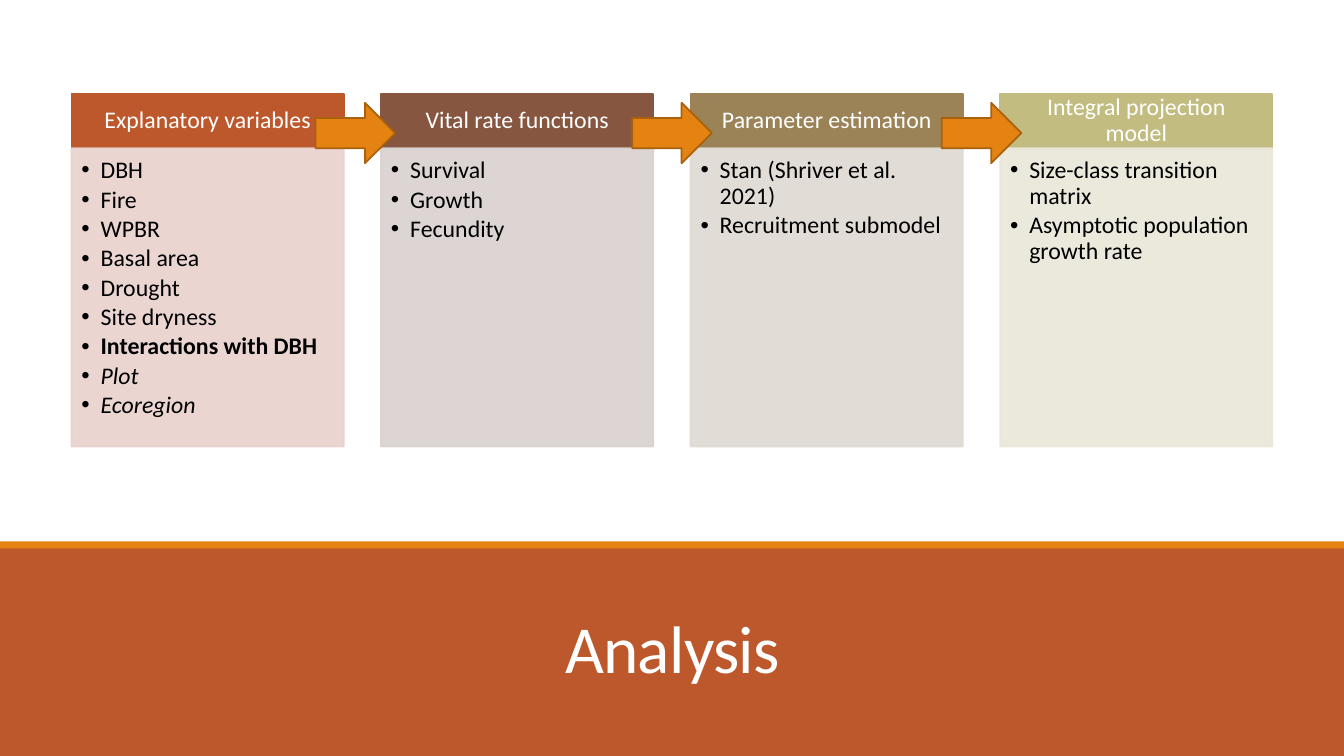
from dataclasses import dataclass
from lxml.etree import SubElement
from pptx import Presentation
from pptx.dml.color import RGBColor
from pptx.enum.shapes import MSO_SHAPE as Shape
from pptx.enum.text import MSO_ANCHOR as Anchor, PP_ALIGN as Align
from pptx.oxml.ns import qn
from pptx.util import Inches, Pt

TITLE = "Analysis"
# Heading, header colour, body colour, items as (text, style)
STEPS = [
    ("Explanatory variables", "BD582C", "E8D1CD",
     [("DBH", ""), ("Fire", ""), ("WPBR", ""), ("Basal area", ""),
      ("Drought", ""), ("Site dryness", ""),
      ("Interactions with DBH", "bold"), ("Plot", "italic"),
      ("Ecoregion", "italic")]),
    ("Vital rate functions", "865640", "D9D1CF",
     [("Survival", ""), ("Growth", ""), ("Fecundity", "")]),
    ("Parameter estimation", "9B8357", "DED9D1",
     [("Stan (Shriver et al. 2021)", ""), ("Recruitment submodel", "")]),
    ("Integral projection model", "C2BC80", "E9E7D8",
     [("Size-class transition matrix", ""),
      ("Asymptotic population growth rate", "")]),
]


@dataclass(frozen=True)
class Theme:
    font: str = "Calibri"
    band: str = "BD582C"
    accent: str = "E48312"
    edge: str = "A9610D"
    light: str = "FFFFFF"
    dark: str = "000000"
    title: int = 48
    text: int = 17
    after: float = 2.6
    line: float = 1.25
    alpha: int = 90


T = Theme()
WIDE, HIGH = 13.33, 7.5
LEFT, TOP = 0.71, 0.93
COL, HEAD, BODY = 2.7, 0.54, 2.96
GAP = (WIDE - 2 * LEFT - len(STEPS) * COL) / (len(STEPS) - 1)
BAND, RULE = 5.42, 0.07
ARROWS, ARROW_TOP, ARROW_W, ARROW_H = (3.13, 6.27, 9.34), 1.02, 0.79, 0.6
INDENT = 0.19


def rgb(code):
    return RGBColor.from_string(code)


def fade(shape):
    """Make both the fill and the outline slightly transparent."""
    for tint in shape._element.spPr.iter(qn("a:srgbClr")):
        SubElement(tint, qn("a:alpha"), val=str(T.alpha * 1000))


def block(slide, box, fill, edge=None, kind=Shape.RECTANGLE):
    shape = slide.shapes.add_shape(kind, *map(Inches, box))
    shape.shadow.inherit = False
    shape.fill.solid()
    shape.fill.fore_color.rgb = rgb(fill)
    if edge:
        shape.line.color.rgb = rgb(edge)
        shape.line.width = Pt(T.line)
    else:
        shape.line.fill.background()
    return shape


def frame(shape, pads, anchor):
    """Set insets (left, top, right, bottom) and the vertical anchor."""
    text = shape.text_frame
    text.word_wrap = True
    text.vertical_anchor = anchor
    (text.margin_left, text.margin_top,
     text.margin_right, text.margin_bottom) = map(Inches, pads)
    return text


def write(para, words, size, color, align=Align.CENTER, lead=0.9, style=""):
    para.alignment = align
    para.line_spacing = lead
    run = para.add_run()
    run.text = words
    font = run.font
    font.name, font.size = T.font, Pt(size)
    font.color.rgb = rgb(color)
    font.bold = style == "bold"
    font.italic = style == "italic"
    return run


def bullet(para):
    props = para._p.get_or_add_pPr()
    props.set("marL", str(Inches(INDENT)))
    props.set("indent", str(-Inches(INDENT)))
    SubElement(props, qn("a:buFont"), typeface="Arial")
    SubElement(props, qn("a:buChar"), char="•")


def column(slide, x, step):
    name, deep, pale, items = step
    head = block(slide, (x, TOP, COL, HEAD), deep, deep)
    # Side insets keep the longest heading on two lines, clear of its arrow
    text = frame(head, (0.16, 0.08, 0.16, 0.08), Anchor.MIDDLE)
    write(text.paragraphs[0], name, T.text, T.light)

    body = block(slide, (x, TOP + HEAD, COL, BODY), pale, pale)
    fade(body)
    text = frame(body, (0.1, 0.1, 0.13, 0.15), Anchor.TOP)
    for i, (words, style) in enumerate(items):
        para = text.add_paragraph() if i else text.paragraphs[0]
        bullet(para)
        para.space_after = Pt(T.after)
        write(para, words, T.text, T.dark, Align.LEFT, style=style)


def footer(slide):
    block(slide, (0, BAND, WIDE, HIGH - BAND), T.band)
    title = slide.shapes.add_textbox(*map(Inches, (1.17, 5.74, 11, 1.13)))
    text = frame(title, (0.1, 0.05, 0.1, 0.05), Anchor.BOTTOM)
    run = write(text.paragraphs[0], TITLE, T.title, T.light, lead=0.85)
    run.font._element.set("spc", "-50")
    block(slide, (0, BAND - 0.05, WIDE, RULE), T.accent)


def main():
    deck = Presentation()
    deck.slide_width, deck.slide_height = Inches(WIDE), Inches(HIGH)
    slide = deck.slides.add_slide(deck.slide_layouts[6])
    footer(slide)
    for i, step in enumerate(STEPS):
        column(slide, LEFT + i * (COL + GAP), step)
    for x in ARROWS:
        block(slide, (x, ARROW_TOP, ARROW_W, ARROW_H),
              T.accent, T.edge, Shape.RIGHT_ARROW)
    deck.save("out.pptx")


if __name__ == "__main__":
    main()
